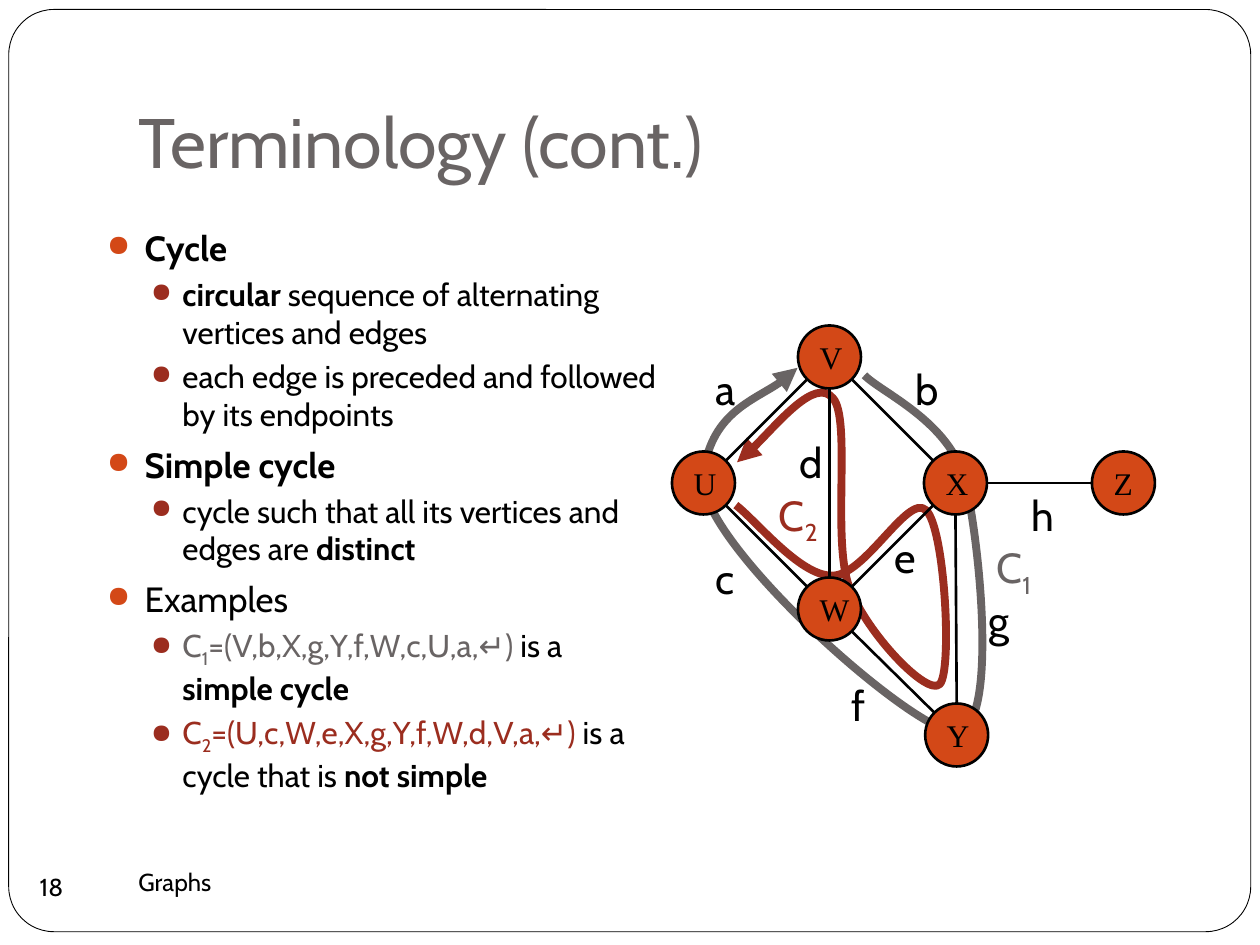
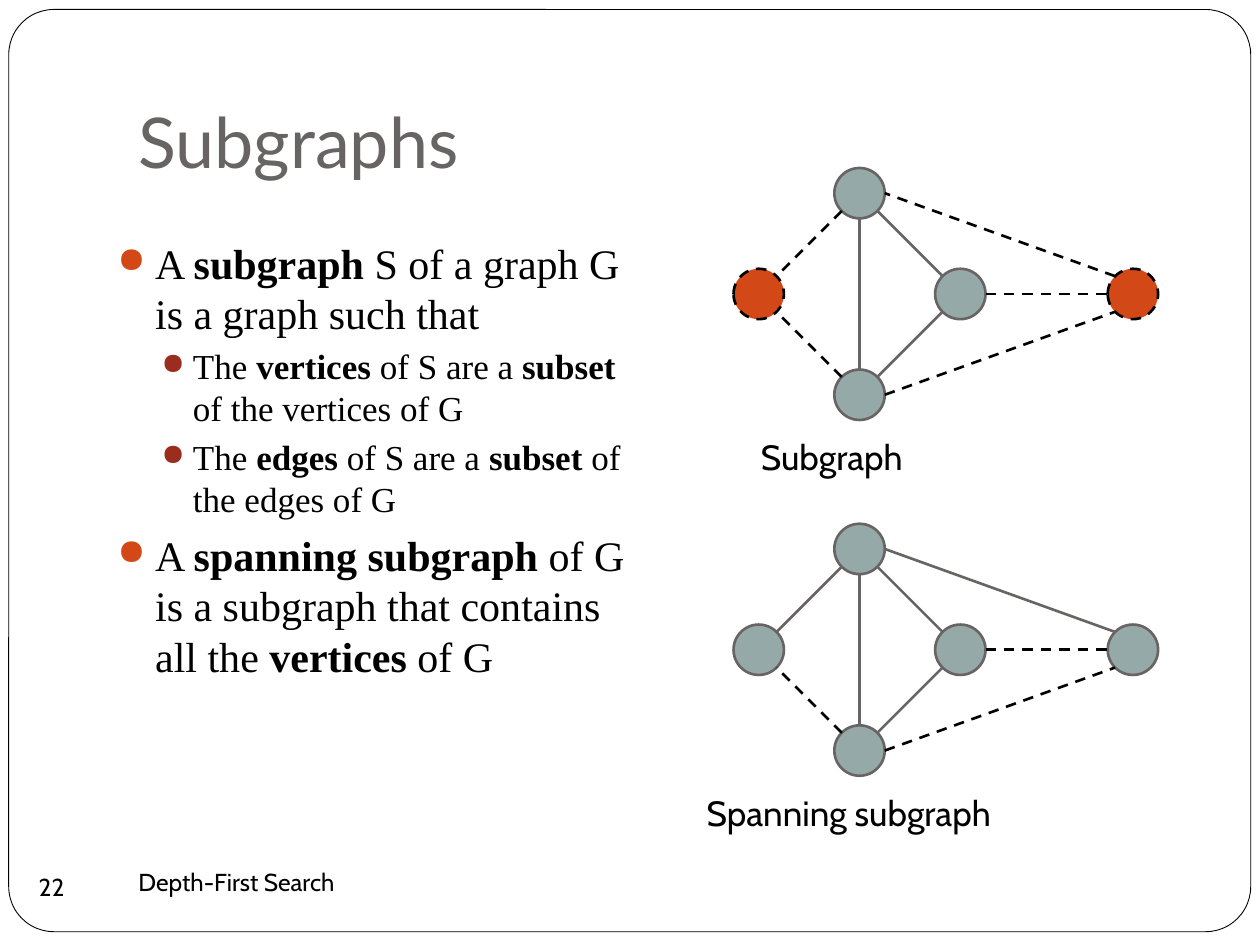
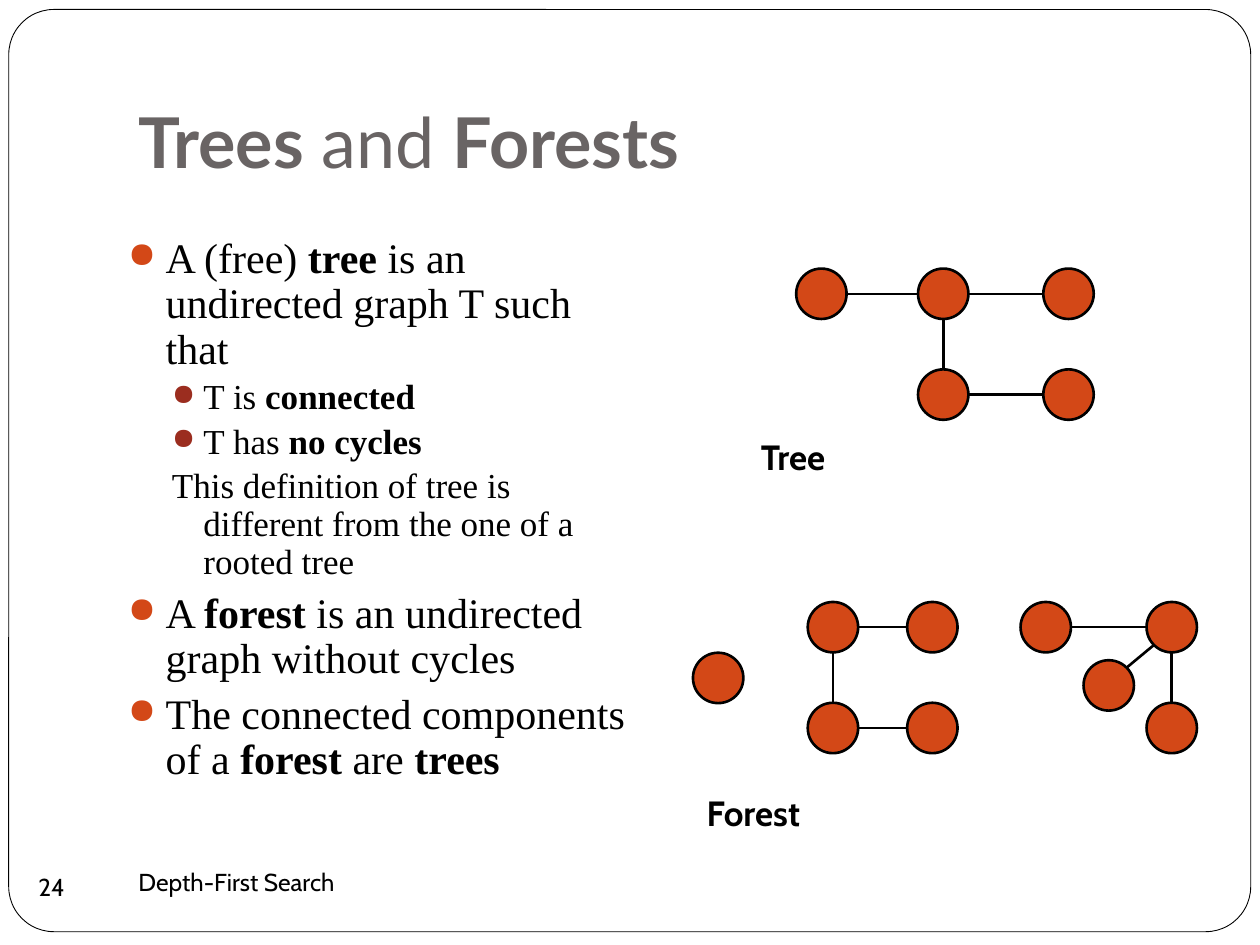
from math import sqrt
from lxml import etree
from pptx import Presentation
from pptx.dml.color import RGBColor
from pptx.enum.dml import MSO_LINE
from pptx.enum.shapes import MSO_CONNECTOR, MSO_SHAPE
from pptx.enum.text import MSO_ANCHOR, MSO_AUTO_SIZE, PP_ALIGN
from pptx.oxml.ns import qn
from pptx.util import Pt

# Shared look
BLACK, WHITE, GREY = "000000", "FFFFFF", "696464"
ORANGE, RED, SAGE = "D34817", "9B2D1F", "96A9A9"
SANS, TITLE_ALT, SERIF = "Cabin", "Lato", "Times New Roman"
BULLETS = [(ORANGE, 21.6, -21.6, 5.8), (RED, 43.2, -18, 3.7)]  # colour, margin, indent, space
CAPTION_BOXES = [(427.7, 245.5, 225, 31), (396.7, 448.5, 287, 31)]
DIAG = sqrt(0.5)
SIDES = {"N": (0, -1), "S": (0, 1), "W": (-1, 0), "E": (1, 0),
         "NW": (-DIAG, -DIAG), "NE": (DIAG, -DIAG),
         "SW": (-DIAG, DIAG), "SE": (DIAG, DIAG)}


def rgb(hex_string):
    return RGBColor.from_string(hex_string)


def pts(*values):
    return [Pt(v) for v in values]


def sub(parent, tag, **attributes):
    return etree.SubElement(parent, qn(tag), attributes)


# ---- Text ----
def write(p, runs, font, size, color=BLACK):
    """Runs are strings or (text, flag, colour); flag is "b", "sub" or ""."""
    for run in runs:
        text, flag, own_color = run, "", color
        if isinstance(run, tuple):
            text, flag, own_color = (*run, color)[:3]
        r = p.add_run()
        r.text = text
        r.font.name, r.font.size = font, Pt(size)
        r.font.bold = flag == "b"
        r.font.color.rgb = rgb(own_color)
        if flag == "sub":
            r._r.get_or_add_rPr().set("baseline", "-25000")


def textbox(s, box, runs, font, size, color=BLACK, wrap=True, anchor=MSO_ANCHOR.TOP):
    tf = s.shapes.add_textbox(*pts(*box)).text_frame
    tf.word_wrap = wrap
    tf.vertical_anchor = anchor
    write(tf.paragraphs[0], runs, font, size, color)


def bullet_list(s, box, items, font, sizes, spacing=None):
    """Items are (level, runs) or (level, runs, has_bullet)."""
    tf = s.shapes.add_textbox(*pts(*box)).text_frame
    tf.word_wrap = True
    for i, (level, runs, *has_bullet) in enumerate(items):
        p = tf.paragraphs[0] if i == 0 else tf.add_paragraph()
        color, margin, indent, space = BULLETS[level]
        p.level = level
        p.space_before = Pt(space)
        if spacing:
            p.line_spacing = spacing
        pPr = p._p.get_or_add_pPr()
        pPr.set("marL", str(Pt(margin)))
        pPr.set("indent", str(Pt(indent)))
        if has_bullet != [False]:
            sub(sub(pPr, "a:buClr"), "a:srgbClr", val=color)
            sub(pPr, "a:buSzPct", val="85000")
            sub(pPr, "a:buFont", typeface="OpenSymbol")
            sub(pPr, "a:buChar", char="●")
        write(p, runs, font, sizes[level])


# ---- Master, title and footer ----
def add_master_frame(prs, s):
    """Gives the master a white page and a rounded frame behind everything."""
    master = prs.slide_master
    master.background.fill.solid()
    master.background.fill.fore_color.rgb = rgb(WHITE)
    frame = s.shapes.add_shape(MSO_SHAPE.ROUNDED_RECTANGLE, *pts(5, 5.4, 709.7, 527))
    frame.adjustments[0] = 0.049
    paint(frame, WHITE, BLACK, 0.5)
    master.placeholders[0].element.addprevious(frame.element)


def new_slide(prs, title, title_font, footer, number):
    s = prs.slides.add_slide(prs.slide_layouts[5])

    # Footer and page number
    textbox(s, (72, 486, 312, 36), [footer], SANS, 14, anchor=MSO_ANCHOR.MIDDLE)
    badge = s.shapes.add_shape(MSO_SHAPE.OVAL, *pts(11.5, 489, 36, 36))
    badge.shadow.inherit = False
    badge.fill.background()
    badge.line.fill.background()
    tf = badge.text_frame
    tf.word_wrap = False
    tf.margin_left = tf.margin_top = tf.margin_right = tf.margin_bottom = 0
    tf.paragraphs[0].alignment = PP_ALIGN.CENTER
    write(tf.paragraphs[0], [str(number)], SANS, 14)

    # Title
    ph = s.shapes.title
    ph.left, ph.top, ph.width, ph.height = pts(72, 21.6, 612, 90)
    tf = ph.text_frame
    tf.auto_size = MSO_AUTO_SIZE.NONE
    tf.vertical_anchor = MSO_ANCHOR.BOTTOM
    tf.margin_left, tf.margin_top, tf.margin_right, tf.margin_bottom = pts(7.2, 3.6, 7.2, 7.2)
    tf.paragraphs[0].alignment = PP_ALIGN.LEFT
    write(tf.paragraphs[0], title, title_font, 40, GREY)
    return s


# ---- Graph parts ----
def paint(shape, fill, line, width=1.5, dashed=False):
    shape.shadow.inherit = False
    shape.fill.solid()
    shape.fill.fore_color.rgb = rgb(fill)
    stroke(shape, line, width, dashed)


def stroke(shape, color, width=1.5, dashed=False):
    shape.line.color.rgb = rgb(color)
    shape.line.width = Pt(width)
    if dashed:
        shape.line.dash_style = MSO_LINE.DASH


def draw_nodes(shapes, origin, radius, nodes, fill=ORANGE, line=BLACK, dashed=(), labels=False):
    for name, (x, y) in nodes.items():
        oval = shapes.add_shape(MSO_SHAPE.OVAL, *pts(
            origin[0] + x - radius, origin[1] + y - radius, 2 * radius, 2 * radius))
        if name in dashed:
            paint(oval, ORANGE, BLACK, dashed=True)
        else:
            paint(oval, fill, line)
        if labels:
            tf = oval.text_frame
            tf.word_wrap = False
            tf.vertical_anchor = MSO_ANCHOR.MIDDLE
            tf.paragraphs[0].alignment = PP_ALIGN.LEFT
            write(tf.paragraphs[0], [name], SERIF, 18)


def draw_edges(shapes, origin, radius, nodes, edges, color=BLACK, dashed=False):
    """Each edge reads "node.side node.side"; sides are compass points."""
    def end(place):
        name, side = place.split(".")
        return [Pt(o + c + radius * d) for o, c, d in zip(origin, nodes[name], SIDES[side])]

    for edge in edges:
        a, b = edge.split()
        line = shapes.add_connector(MSO_CONNECTOR.STRAIGHT, *end(a), *end(b))
        stroke(line, color, dashed=dashed)
        sub(line.element.spPr, "a:effectLst")


def draw_curve(s, origin, points, color, arrow):
    """Chained cubic Bezier curve; arrow is "a:headEnd" or "a:tailEnd"."""
    points = [pts(origin[0] + x, origin[1] + y) for x, y in points]
    builder = s.shapes.build_freeform(*points[0])
    builder.add_line_segments(points[1:], close=False)
    curve = builder.convert_to_shape()
    # Each three line ends become the controls and end of one Bezier segment
    lines = list(curve.element.iter(qn("a:lnTo")))
    for i in range(0, len(lines), 3):
        bezier = etree.Element(qn("a:cubicBezTo"))
        lines[i].addprevious(bezier)
        for line in lines[i:i + 3]:
            bezier.append(line[0])
            line.getparent().remove(line)
    curve.shadow.inherit = False
    curve.fill.background()
    stroke(curve, color, 4.5)
    sub(curve.line._get_or_add_ln(), arrow, type="triangle")


# ---- Regions ----
def cycle_graph(s, origin):
    radius = 18
    nodes = {"X": (162, 90), "U": (18, 90), "V": (90, 18),
             "W": (90, 162), "Z": (258, 90), "Y": (162.7, 234)}
    simple_cycle = [
        (110, 28.5), (120, 38.6), (159, 55), (167.5, 89), (176, 123.6), (187, 233),
        (162, 232.3), (137.3, 232.3), (15, 123.6), (17.8, 87), (21.4, 50), (61, 37), (71.8, 24.2)]
    long_cycle = [
        (37.2, 78.2), (46.6, 71.8), (81.8, 29.3), (91.9, 41.5), (102.7, 53), (91.2, 122.2),
        (101.3, 149.5), (111.4, 176.2), (146, 212.2), (153, 205), (160.3, 197.8), (156, 115.7),
        (145.2, 105.6), (135, 95.5), (110, 143.8), (91.2, 143), (73, 143), (48, 111.4),
        (36.5, 102.7)]
    draw_curve(s, origin, simple_cycle, GREY, "a:tailEnd")
    draw_curve(s, origin, long_cycle, RED, "a:headEnd")
    draw_nodes(s.shapes, origin, radius, nodes, labels=True)
    draw_edges(s.shapes, origin, radius, nodes, [
        "V.SW U.NE", "W.NW U.SE", "W.NE X.SW", "X.E Z.W",
        "V.SE X.NW", "V.S W.N", "W.SE Y.NW", "X.S Y.N"])

    # Edge and cycle labels
    labels = {"a": (18, 18), "c": (18, 126), "b": (132, 18), "e": (120, 114),
              "d": (66, 60), "f": (95.5, 199), "g": (174, 150), "h": (198.5, 90)}
    for name, (x, y) in labels.items():
        width = 22 if name == "f" else 27.5
        textbox(s, (origin[0] + x, origin[1] + y, width, 36), [name], SANS, 24, wrap=False)
    for digit, color, x, y in (("1", GREY, 178.3, 120), ("2", RED, 54, 90)):
        textbox(s, (origin[0] + x, origin[1] + y, 37.5, 36), ["C", (digit, "sub")],
                SANS, 24, color, wrap=False)


def kite_graph(s, origin, solid, dashed, dashed_nodes=()):
    radius = 14.4
    nodes = {"mid": (129.6, 72), "left": (14.4, 72), "top": (72, 14.4),
             "bottom": (72, 129.6), "far": (228.2, 72)}
    draw_nodes(s.shapes, origin, radius, nodes, SAGE, GREY, dashed_nodes)
    draw_edges(s.shapes, origin, radius, nodes, solid, GREY)
    draw_edges(s.shapes, origin, radius, nodes, dashed, dashed=True)


def plain_graph(shapes, origin, nodes, edges):
    draw_nodes(shapes, origin, 14.4, nodes)
    draw_edges(shapes, origin, 14.4, nodes, edges)


def captions(s, texts, flag=""):
    for box, text in zip(CAPTION_BOXES, texts):
        textbox(s, box, [(text, flag)], SANS, 20)


# ---- Slides ----
def terminology_slide(prs):
    s = new_slide(prs, ["Terminology (cont.)"], SANS, "Graphs", 18)
    add_master_frame(prs, s)
    bullet_list(s, (54, 126, 330, 348), [
        (0, [("Cycle", "b")]),
        (1, [("circular", "b"), " sequence of alternating vertices and edges "]),
        (1, ["each edge is preceded and followed by its endpoints"]),
        (0, [("Simple cycle", "b")]),
        (1, ["cycle such that all its vertices and edges are ", ("distinct", "b")]),
        (0, ["Examples"]),
        (1, [("C", "", GREY), ("1", "sub", GREY), ("=(V,b,X,g,Y,f,W,c,U,a,↵)", "", GREY),
             " is a ", ("simple cycle", "b")]),
        (1, [("C", "", RED), ("2", "sub", RED), ("=(U,c,W,e,X,g,Y,f,W,d,V,a,↵)", "", RED),
             " is a cycle that is ", ("not simple", "b")]),
    ], SANS, (20, 18))
    cycle_graph(s, (384, 186))


def subgraphs_slide(prs):
    s = new_slide(prs, ["Subgraphs"], TITLE_ALT, "Depth-First Search", 22)
    bullet_list(s, (60, 132, 318, 342), [
        (0, ["A ", ("subgraph", "b"), " S of a graph G is a graph such that "]),
        (1, ["The ", ("vertices", "b"), " of S are a ", ("subset", "b"),
             " of the vertices of G"]),
        (1, ["The ", ("edges", "b"), " of S are a ", ("subset", "b"), " of the edges of G"]),
        (0, ["A ", ("spanning subgraph ", "b"), "of G is a subgraph that contains all the ",
             ("vertices", "b"), " of G"]),
    ], SERIF, (24, 20))
    captions(s, ["Subgraph", "Spanning subgraph"])
    core = ["bottom.NE mid.SW", "top.SE mid.NW", "top.S bottom.N"]
    outer = ["top.SW left.NE", "far.NW top.E"]
    always_dashed = ["bottom.NW left.SE", "mid.E far.W", "bottom.E far.SW"]
    kite_graph(s, (419.2, 96), core, outer + always_dashed, ("left", "far"))
    kite_graph(s, (419.2, 299.3), core + outer, always_dashed)


def forests_slide(prs):
    s = new_slide(prs, [("Trees", "b"), " and ", ("Forests", "b")], TITLE_ALT,
                  "Depth-First Search", 24)
    bullet_list(s, (66, 132, 306, 354), [
        (0, ["A (free) ", ("tree", "b"), " is an undirected graph T such that"]),
        (1, ["T is ", ("connected", "b")]),
        (1, ["T has ", ("no cycles", "b")]),
        (1, ["This definition of tree is different from the one of a rooted tree"], False),
        (0, ["A ", ("forest", "b"), " is an undirected graph without cycles"]),
        (0, ["The connected components of a ", ("forest", "b"), " are ", ("trees", "b")]),
    ], SERIF, (24, 20), 0.9)
    captions(s, ["Tree", "Forest"], "b")
    near, low = 14.4, 72  # the two rows of nodes
    plain_graph(s.shapes, (455, 153.5), {
        "a": (near, near), "b": (84, near), "c": (155.6, near), "d": (84, low), "e": (155.6, low),
    }, ["a.E b.W", "c.W b.E", "d.N b.S", "d.E e.W"])
    plain_graph(s.shapes.add_group_shape().shapes, (396, 344), {
        "lone": (near, 43.4),
        "a": (80, near), "b": (136.8, near), "c": (80, low), "d": (136.8, low),
        "e": (201.6, near), "f": (273.6, near), "g": (273.6, low), "h": (237.6, 47.7),
    }, ["c.N a.S", "b.W a.E", "c.E d.W", "h.NE f.SW", "g.N f.S", "e.E f.W"])


prs = Presentation()
prs.slide_width, prs.slide_height = pts(720, 540)
terminology_slide(prs)
subgraphs_slide(prs)
forests_slide(prs)
prs.save("out.pptx")
